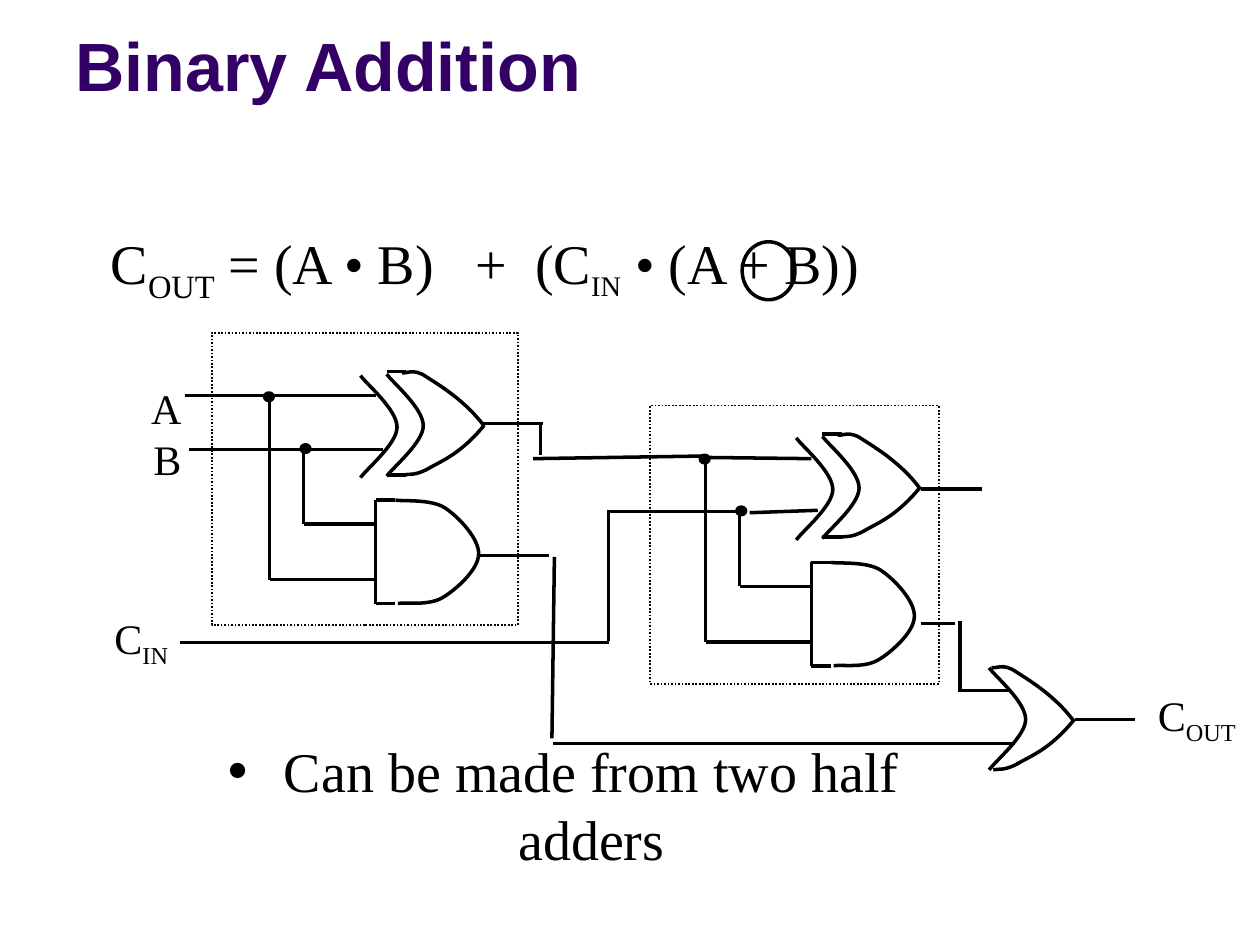
"""Build the slide on a full adder made from two half adders."""
from dataclasses import dataclass

from lxml.etree import SubElement as Sub
from pptx import Presentation as Deck
from pptx.dml.color import RGBColor as Color
from pptx.enum.dml import MSO_LINE as Dash
from pptx.enum.shapes import MSO_CONNECTOR as Link, MSO_SHAPE as Kind
from pptx.enum.text import MSO_ANCHOR as Anchor, MSO_AUTO_SIZE as Fit, PP_ALIGN as Align
from pptx.oxml.ns import qn
from pptx.util import Pt


@dataclass(frozen=True)
class Theme:
    """Hold the colours, fonts and sizes of the slide."""
    ink: Color = Color(0, 0, 0)
    head: Color = Color(0x33, 0, 0x66)
    sans: str = "Arial"
    serif: str = "Times New Roman"
    title: float = 39
    body: float = 32
    small: float = 28
    label: float = 24
    wire: float = 2
    frame: float = 1


THEME = Theme()
ARC = [(0, 0), (3.6, 5), (20.9, 19.4), (20.9, 29.5), (20.9, 38.9), (4.3, 52.6), (0, 58.3)]
OR_BODY = [(0, 0), (2.2, 0.7), (6.5, -2.9), (13.7, 2.1), (21.6, 7.2), (36, 15.8),
           (46.8, 30.2), (33.1, 46.8), (22.3, 50.4), (15.1, 54.7), (7.2, 59), (4.3, 57.6), (1, 58.3)]
AND_BODY = [(0, 0), (4.3, 0.7), (20.2, -0.7), (28.1, 4.3), (36, 9.4), (48.2, 22.3),
            (47.5, 31), (47.5, 39.6), (34.6, 51.1), (27.4, 55.4), (19.4, 60.5), (6.5, 58.3), (1.4, 59)]
STEP = (249, 35.6)
INNER = [(174, 299.5, 214.6, 299.5), (154.4, 331.2, 214.6, 331.2),
         (154.1, 331.2, 154.1, 225.4), (173.5, 299.5, 173.5, 257)]
LEADS = [(221, 212.4, 232, 212.4), (221, 271.4, 232, 271.4), (214.6, 285.8, 214.6, 344.9),
         (214.6, 285.8, 226, 285.8), (214.6, 344.9, 226, 344.9)]
OUTER = [(105.8, 226.1, 214.6, 226.1), (108, 257, 218.9, 257),
         (275.8, 241.9, 310.3, 241.9), (308.9, 241.9, 308.9, 259.9),
         (304.6, 262.1, 401.8, 260.6), (402.5, 261.4, 463.7, 262.1),
         (469.4, 248.4, 481, 248.4), (469.4, 307.4, 481, 307.4),
         (347.8, 292.3, 425.5, 292.3), (428.4, 293, 467.3, 291.6),
         (347.8, 366.5, 347.8, 291.6), (103, 367.2, 347.8, 367.2),
         (273.6, 317.5, 313.9, 317.5), (316.8, 318.2, 315.4, 421.9),
         (316.1, 424.8, 580.3, 424.8), (526.3, 279.4, 560.9, 279.4),
         (526.3, 356.4, 545.8, 356.4), (548.6, 355, 548.6, 395.3),
         (547.2, 394.6, 576.7, 394.6), (614.2, 411.1, 648.7, 411.1)]
# Leads of the second XOR gate are drawn with its half adder.
OUTER = [ends for ends in OUTER if ends[0] != 469.4]


def style(run, size, name=THEME.serif, color=THEME.ink, bold=False):
    """Set the font of a run."""
    font = run.font
    font.size, font.name, font.bold = Pt(size), name, bold
    font.color.rgb = color


def wire(slide, x1, y1, x2, y2):
    """Draw one straight wire."""
    line = slide.shapes.add_connector(Link.STRAIGHT, Pt(x1), Pt(y1), Pt(x2), Pt(y2))
    line.line.color.rgb, line.line.width = THEME.ink, Pt(THEME.wire)
    Sub(line._element.spPr, qn("a:effectLst"))


def ink(shape, width=THEME.wire, solid=False):
    """Give a shape a black line and a black or empty fill."""
    shape.shadow.inherit = False
    shape.line.color.rgb, shape.line.width = THEME.ink, Pt(width)
    if solid:
        shape.fill.solid()
        shape.fill.fore_color.rgb = THEME.ink
    else:
        shape.fill.background()


def oval(slide, x, y, w, h, solid=False):
    """Draw an oval."""
    ink(slide.shapes.add_shape(Kind.OVAL, Pt(x), Pt(y), Pt(w), Pt(h)), solid=solid)


def frame(slide, x, y, w, h):
    """Draw a dotted frame round a half adder."""
    box = slide.shapes.add_shape(Kind.RECTANGLE, Pt(x), Pt(y), Pt(w), Pt(h))
    ink(box, THEME.frame)
    box.line.dash_style = Dash.ROUND_DOT


def curve(slide, x, y, nodes):
    """Draw a chain of cubic curves from a list of nodes."""
    pen = slide.shapes.build_freeform(Pt(x), Pt(y))
    pen.add_line_segments([(Pt(x + dx), Pt(y + dy)) for dx, dy in nodes[1:]], close=False)
    shape = pen.convert_to_shape()
    ink(shape)
    route = next(shape._element.iter(qn("a:path")))
    legs = route.findall(qn("a:lnTo"))
    for first in range(0, len(legs), 3):
        bend = Sub(route, qn("a:cubicBezTo"))
        for leg in legs[first:first + 3]:
            bend.append(leg[0])
            route.remove(leg)


def adder(slide, dx, dy):
    """Draw the gates, inner wires and dots of a half adder."""
    for x1, y1, x2, y2 in INNER + LEADS:
        wire(slide, x1 + dx, y1 + dy, x2 + dx, y2 + dy)
    for x, y, nodes in ((229.7, 213.1, OR_BODY), (221, 213.8, ARC),
                        (206, 214.6, ARC), (226, 285.8, AND_BODY)):
        curve(slide, x + dx, y + dy, nodes)
    for x, y in ((151.2, 224.6), (172.1, 254.2)):
        oval(slide, x + dx, y + dy, 5, 4.3, True)


def label(slide, x, y, w, h, parts, stops=()):
    """Write text parts, each with a size and a flag for subscript."""
    frame = slide.shapes.add_textbox(Pt(x), Pt(y), Pt(w), Pt(h)).text_frame
    frame.word_wrap = True
    line = frame.paragraphs[0]
    if stops:
        tabs = Sub(line._p.get_or_add_pPr(), qn("a:tabLst"))
        for stop in stops:
            Sub(tabs, qn("a:tab"), pos=str(Pt(stop)), algn="l")
    for text, size, low in parts:
        run = line.add_run()
        run.text = text
        style(run, size)
        if low:
            run._r.get_or_add_rPr().set("baseline", "-25000")
    return frame


def fill(holder, spot, text, align, anchor):
    """Move a placeholder, set its text and return its run."""
    holder.left, holder.top, holder.width, holder.height = map(Pt, spot)
    frame = holder.text_frame
    frame.text = text
    frame.auto_size, frame.vertical_anchor = Fit.NONE, anchor
    line = frame.paragraphs[0]
    line.alignment, line.space_before = align, Pt(0)
    return line.runs[0]


def words(slide):
    """Write the title, formula, point and signal names."""
    big, tag = THEME.body, THEME.label
    run = fill(slide.shapes.title, (36, 9.4, 528.5, 102.2), "Binary Addition", Align.LEFT, Anchor.TOP)
    style(run, THEME.title, THEME.sans, THEME.head, True)
    body = slide.placeholders[1]
    run = fill(body, (98, 416, 448, 87), "Can be made from two half adders", Align.CENTER, Anchor.MIDDLE)
    style(run, big)
    props = body.text_frame.paragraphs[0]._p.get_or_add_pPr()
    props.set("marL", str(Pt(32)))
    props.set("indent", str(Pt(-32)))
    math = label(slide, 56.2, 126.7, 445.7, 51.1,
                 [("C", big, False), ("OUT", big, True), (" = (A • B)\t+\t(C", big, False),
                  ("IN", THEME.small, True), (" • (A + B))", big, False)], (208.5, 242.5))
    math.vertical_anchor = Anchor.MIDDLE
    oval(slide, 424.1, 138.2, 30.2, 33.1)
    for x, y, name, low in ((79.2, 215.3, "A", ""), (80.6, 244.1, "B", ""),
                            (58.3, 346.3, "C", "IN"), (654.5, 390.2, "C", "OUT")):
        parts = [(name, tag, False)] + ([(low, tag, True)] if low else [])
        label(slide, x, y, 65, 38, parts)


def main():
    """Build and save the slide."""
    deck = Deck()
    deck.slide_width, deck.slide_height = Pt(720), Pt(540)
    slide = deck.slides.add_slide(deck.slide_layouts[1])
    words(slide)
    frame(slide, 371.5, 231.8, 164.9, 159.1)
    frame(slide, 121, 190.1, 175, 167)
    for turn in range(2):
        adder(slide, turn * STEP[0], turn * STEP[1])
    for ends in OUTER:
        wire(slide, *ends)
    curve(slide, 566.6, 381.6, OR_BODY)
    curve(slide, 565.2, 381.6, ARC)
    deck.save("out.pptx")


if __name__ == "__main__":
    main()
